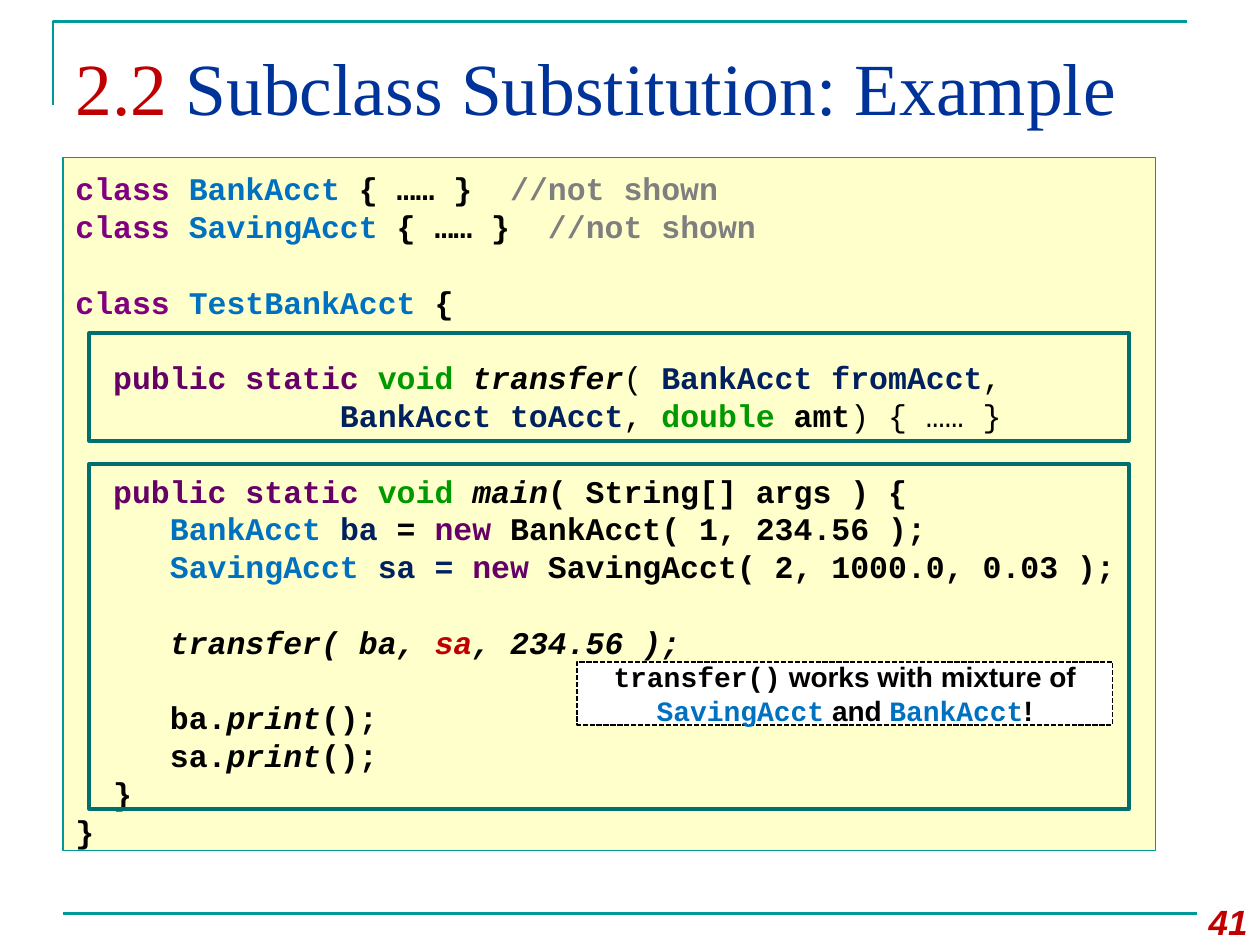
import dataclasses

import lxml.etree
import pptx
import pptx.dml.color
import pptx.enum.dml
import pptx.enum.shapes
import pptx.enum.text
import pptx.oxml.ns
import pptx.util

Cm = pptx.util.Cm
Pt = pptx.util.Pt
Anchor = pptx.enum.text.MSO_ANCHOR
Align = pptx.enum.text.PP_ALIGN


@dataclasses.dataclass(frozen=True)
class Theme:
    serif: str = "Times New Roman"
    sans: str = "Arial"
    mono: str = "Courier New"
    head: float = 42
    code: float = 18
    note: float = 16
    page: float = 20
    pitch: float = 21.6
    black: str = "000000"
    white: str = "FFFFFF"
    cream: str = "FFFFCC"
    teal: str = "009999"
    deep: str = "006F6F"
    red: str = "C00000"
    blue: str = "003399"
    sky: str = "0070C0"
    navy: str = "002060"
    plum: str = "800080"
    grape: str = "660066"
    green: str = "009900"
    gray: str = "7F7F7F"


THEME = Theme()


@dataclasses.dataclass(frozen=True)
class Bit:
    text: str
    ink: str = THEME.black
    bold: bool = True
    slant: bool = False
    face: str = THEME.mono


def rgb(code):
    return pptx.dml.color.RGBColor.from_string(code)


class Sheet:
    def __init__(self, slide, theme):
        self.slide = slide
        self.theme = theme

    def stroke(self, shape, ink, width):
        shape.line.color.rgb = rgb(ink)
        shape.line.width = Pt(width)

    def rule(self, left, top, right):
        kind = pptx.enum.shapes.MSO_CONNECTOR.STRAIGHT
        line = self.slide.shapes.add_connector(kind, Cm(left), Cm(top), Cm(right), Cm(top))
        self.stroke(line, self.theme.teal, 1.5)
        lxml.etree.SubElement(line.element.spPr, pptx.oxml.ns.qn("a:effectLst"))

    def bracket(self, points):
        first, *rest = [(Cm(x), Cm(y)) for x, y in points]
        maker = self.slide.shapes.build_freeform(*first)
        maker.add_line_segments(rest, close=False)
        shape = maker.convert_to_shape()
        shape.shadow.inherit = False
        shape.fill.background()
        self.stroke(shape, self.theme.teal, 1.5)

    def panel(self, area, ink, width, fill=None):
        kind = pptx.enum.shapes.MSO_SHAPE.RECTANGLE
        shape = self.slide.shapes.add_shape(kind, *map(Cm, area))
        shape.shadow.inherit = False
        if fill:
            shape.fill.solid()
            shape.fill.fore_color.rgb = rgb(fill)
        else:
            shape.fill.background()
        self.stroke(shape, ink, width)
        return shape

    def label(self, area, bits, size, align=Align.LEFT, anchor=Anchor.TOP):
        box = self.slide.shapes.add_textbox(*map(Cm, area))
        self.frame(box, anchor)
        self.line(box.text_frame.paragraphs[0], bits, size, align)

    def frame(self, shape, anchor):
        shape.text_frame.word_wrap = True
        shape.text_frame.vertical_anchor = anchor

    def line(self, para, bits, size, align=Align.LEFT):
        para.alignment = align
        para.font.size = Pt(size)
        runs = [(para.add_run(), bit) for bit in bits]
        for run, bit in runs:
            run.text = bit.text
        looks = {
            "name": [bit.face for bit in bits],
            "bold": [bit.bold for bit in bits],
            "italic": [bit.slant for bit in bits],
            "ink": [bit.ink for bit in bits],
        }
        for key, values in looks.items():
            if len(set(values)) == 1:
                self.style(para.font, key, values[0])
            else:
                for (run, _), value in zip(runs, values):
                    self.style(run.font, key, value)

    def style(self, font, key, value):
        if key == "name":
            font.name = value
        elif key == "bold":
            font.bold = value
        elif key == "italic":
            font.italic = value
        else:
            font.color.rgb = rgb(value)

    def listing(self, area, blocks):
        shape = self.panel(area, self.theme.teal, 0.75, self.theme.cream)
        self.frame(shape, Anchor.TOP)
        body = shape.text_frame
        body.margin_top = Cm(0.23)
        body.margin_bottom = Cm(0)
        para = None
        for block in blocks:
            for row, bits in enumerate(block):
                gap = para is not None and row == 0
                para = body.add_paragraph() if para is not None else body.paragraphs[0]
                para.line_spacing = Pt(self.theme.pitch)
                if gap:
                    para.space_before = Pt(self.theme.pitch)
                self.line(para, bits, self.theme.code)

    def callout(self, area, bits):
        shape = self.panel(area, self.theme.black, 1, self.theme.white)
        shape.line.dash_style = pptx.enum.dml.MSO_LINE.SQUARE_DOT
        self.frame(shape, Anchor.MIDDLE)
        self.line(shape.text_frame.paragraphs[0], bits, self.theme.note, Align.CENTER)


def stub(name):
    return [Bit("class ", THEME.plum), Bit(name, THEME.sky), Bit(" { …… }  "),
            Bit("//not shown", THEME.gray)]


def method(name):
    return [Bit("  public static ", THEME.grape), Bit("void ", THEME.green),
            Bit(name, slant=True)]


def create(kind, name, equals, args):
    return [Bit(f"     {kind} ", THEME.sky), Bit(name, THEME.navy), Bit(" = ", equals),
            Bit("new ", THEME.grape), Bit(f"{kind}( {args} );")]


def show(name):
    return [Bit(f"     {name}."), Bit("print", slant=True), Bit("();")]


BLOCKS = [
    [stub("BankAcct"), stub("SavingAcct")],
    [[Bit("class ", THEME.plum), Bit("TestBankAcct ", THEME.sky), Bit("{")]],
    [method("transfer") + [Bit("( ", bold=False), Bit("BankAcct fromAcct", THEME.navy),
                           Bit(",", bold=False)],
     [Bit("              BankAcct toAcct", THEME.navy), Bit(", ", bold=False),
      Bit("double ", THEME.green), Bit("amt"), Bit(") { …… }", bold=False)]],
    [method("main") + [Bit("( String[] args ) {")],
     create("BankAcct", "ba", THEME.black, "1, 234.56"),
     create("SavingAcct", "sa", THEME.navy, "2, 1000.0, 0.03")],
    [[Bit("     transfer( ba, ", slant=True), Bit("sa", THEME.red, slant=True),
      Bit(", 234.56 );", slant=True)]],
    [show("ba"), show("sa"), [Bit("  }")], [Bit("}")]],
]


def main():
    deck = pptx.Presentation()
    deck.slide_width, deck.slide_height = Cm(25.4), Cm(19.05)
    sheet = Sheet(deck.slides.add_slide(deck.slide_layouts[6]), THEME)

    sheet.bracket([(1.07, 2.11), (1.07, 0.43), (23.93, 0.43)])
    sheet.rule(1.27, 18.42, 24.13)
    title = [Bit("2.2 ", THEME.red, bold=False, face=THEME.serif),
             Bit("Subclass Substitution: Example", THEME.blue, bold=False, face=THEME.serif)]
    sheet.label((1.27, 0.64, 22.86, 2.18), title, THEME.head, anchor=Anchor.MIDDLE)
    sheet.listing((1.27, 3.18, 22.02, 13.97), BLOCKS)
    sheet.callout((11.63, 13.34, 10.8, 1.27), [
        Bit("transfer()"), Bit(" works with mixture of ", face=THEME.sans),
        Bit("SavingAcct", THEME.sky), Bit(" and ", face=THEME.sans),
        Bit("BankAcct", THEME.sky), Bit("!", face=THEME.sans)])
    sheet.label((23.7, 18.03, 1.7, 1.02),
                [Bit("41", THEME.red, slant=True, face=THEME.sans)], THEME.page, Align.RIGHT)
    for top, height in ((6.71, 2.18), (9.35, 6.96)):
        sheet.panel((1.8, top, 20.96, height), THEME.deep, 2)
    deck.save("out.pptx")


if __name__ == "__main__":
    main()
